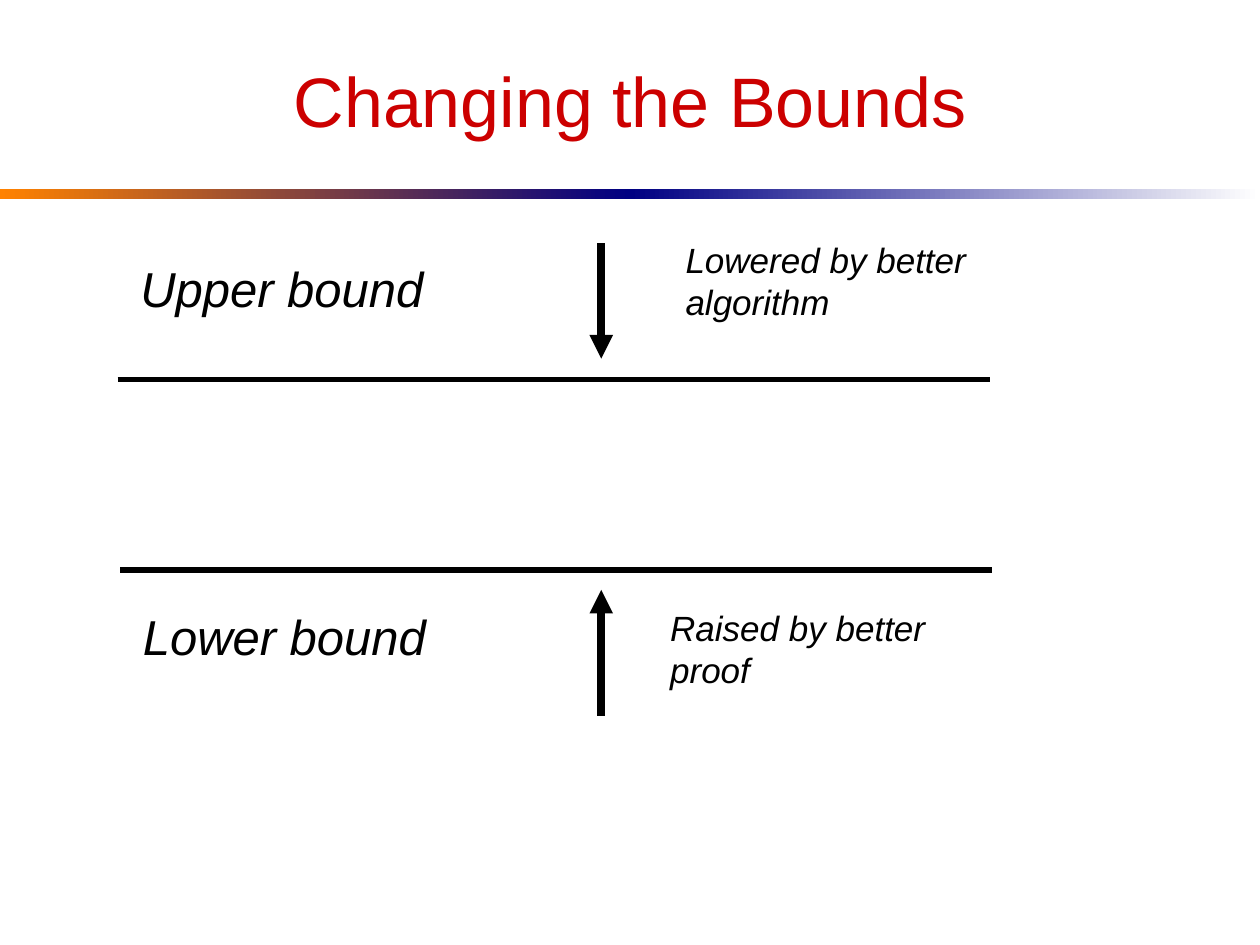
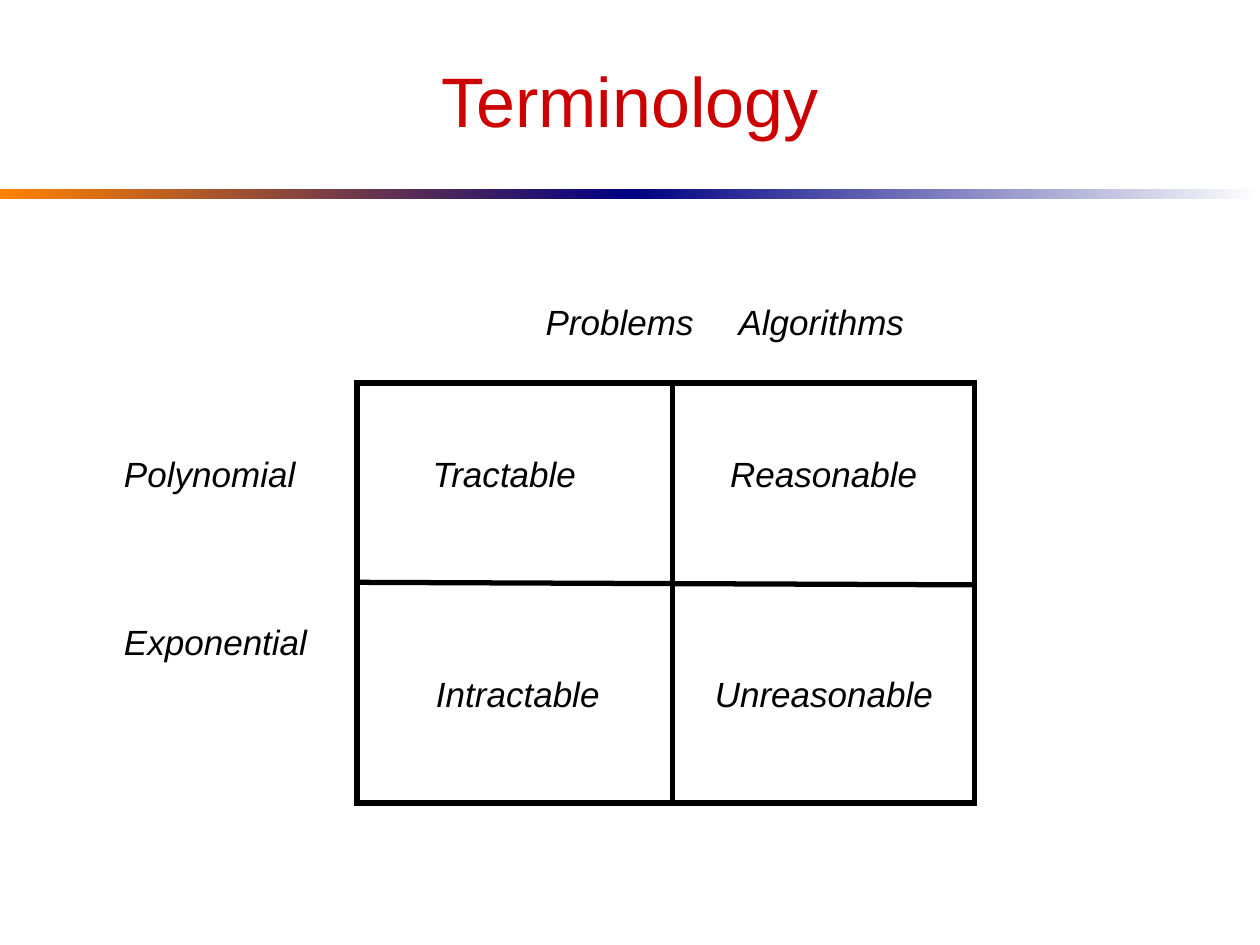
import pptx
import pptx.util
import pptx.dml.color
import pptx.enum.shapes
import pptx.enum.text
import pptx.oxml.ns
from lxml import etree

Cm, Pt = pptx.util.Cm, pptx.util.Pt
SHAPE = pptx.enum.shapes.MSO_SHAPE
qn = pptx.oxml.ns.qn

FONT = "Arial"
RED, BLACK, WHITE = "CC0000", "000000", "FFFFFF"
ORANGE, NAVY = "FF8200", "000082"
SLIDE_W, SLIDE_H = 25.4, 19.05


def rgb(value):
    return pptx.dml.color.RGBColor.from_string(value)


def write(tf, text, size=20, color=BLACK, italic=True, align=None, gap=0, tab=None):
    """Fill a frame; a list gives paragraphs, a newline gives a line break."""
    paragraphs = [text] if isinstance(text, str) else text
    for i, line_text in enumerate(paragraphs):
        p = tf.add_paragraph() if i else tf.paragraphs[0]
        p.text = line_text
        p.alignment = align
        if i:
            p.space_before = Pt(gap)
        if tab:
            tabs = etree.SubElement(p._p.get_or_add_pPr(), qn("a:tabLst"))
            etree.SubElement(tabs, qn("a:tab"), pos=str(Cm(tab)), algn="l")
        for r in p.runs:
            r.font.name, r.font.size = FONT, Pt(size)
            r.font.italic = italic
            r.font.color.rgb = rgb(color)


def label(s, x, y, w, h, text, **style):
    tf = s.shapes.add_textbox(Cm(x), Cm(y), Cm(w), Cm(h)).text_frame
    tf.word_wrap = True
    write(tf, text, **style)


def line(s, x1, y1, x2, y2, width=3, arrow=False):
    c = s.shapes.add_connector(pptx.enum.shapes.MSO_CONNECTOR.STRAIGHT,
                               Cm(x1), Cm(y1), Cm(x2), Cm(y2))
    c.line.color.rgb = rgb(BLACK)
    c.line.width = Pt(width)
    if arrow:
        etree.SubElement(c.line._get_or_add_ln(), qn("a:tailEnd"), type="triangle")
    etree.SubElement(c._element.spPr, qn("a:effectLst"))


def add_master_band(prs, s):
    """Draw the two-part gradient band and move it to the master."""
    half = SLIDE_W / 2
    for i, colors in enumerate([(ORANGE, NAVY), (NAVY, WHITE)]):
        sp = s.shapes.add_shape(SHAPE.RECTANGLE, Cm(i * half), Cm(3.81), Cm(half), Cm(0.2))
        sp.shadow.inherit = False
        sp.line.fill.background()
        sp.fill.gradient()
        sp.fill.gradient_angle = 0
        for stop, color in zip(sp.fill.gradient_stops, colors):
            stop.color.rgb = rgb(color)
        sp.element.nvSpPr.cNvPr.set("id", str(20 + i))
        prs.slide_master.shapes.element.append(sp.element)


def titled_slide(prs, title):
    s = prs.slides.add_slide(prs.slide_layouts[5])
    sp = s.shapes.title
    sp.left, sp.top, sp.width, sp.height = Cm(1.27), Cm(0.64), Cm(22.86), Cm(2.74)
    sp.text_frame.vertical_anchor = pptx.enum.text.MSO_ANCHOR.MIDDLE
    write(sp.text_frame, title, size=40, color=RED, italic=False,
          align=pptx.enum.text.PP_ALIGN.CENTER)
    return s


def bound(s, x, y, w, name, note, rule_y, name_y, note_x, note_y, arrow_x, arrow):
    """One bound: its rule, name, arrow and note, relative to x, y."""
    label(s, x + 0.21, y + name_y, 7, 1.45, name, size=28)
    line(s, x, y + rule_y, x + w, y + rule_y)
    start, end = arrow
    line(s, x + arrow_x, y + start, x + arrow_x, y + end, width=4.5, arrow=True)
    label(s, x + note_x, y + note_y, 6.8, 1.96, note)


def term_grid(s, x, y, w, h):
    """Two-by-two grid with its cell terms and headings, relative to x, y."""
    sp = s.shapes.add_shape(SHAPE.RECTANGLE, Cm(x), Cm(y), Cm(w), Cm(h))
    sp.shadow.inherit = False
    sp.fill.background()
    sp.line.color.rgb = rgb(BLACK)
    sp.line.width = Pt(3)
    etree.SubElement(sp.line._get_or_add_ln(), qn("a:miter"), lim="800000")
    line(s, x + 6.36, y, x + 6.36, y + h)
    line(s, x, y + 4.02, x + w, y + 4.07)

    # Cell terms
    row_tops = (1.27, 5.72)
    terms = [("Tractable", 1.27, 0), ("Intractable", 1.34, 1),
             ("Reasonable", 7.27, 0), ("Unreasonable", 6.96, 1)]
    for term, dx, row in terms:
        label(s, x + dx, y + row_tops[row], 5.3, 1.12, term)

    # Column and row headings
    label(s, x + 3.55, y - 1.79, 8.6, 1.12, "Problems\tAlgorithms", tab=3.89)
    label(s, x - 4.95, y + row_tops[0], 4.8, 4.5, ["Polynomial", "Exponential"], gap=72)


def main():
    prs = pptx.Presentation()
    prs.slide_width, prs.slide_height = Cm(SLIDE_W), Cm(SLIDE_H)

    s = titled_slide(prs, "Changing the Bounds")
    add_master_band(prs, s)
    bound(s, 2.37, 4.69, 17.58, "Upper bound", "Lowered by better\nalgorithm",
          rule_y=2.96, name_y=0.39, note_x=11.2, note_y=0,
          arrow_x=9.75, arrow=(0.21, 2.54))
    bound(s, 2.42, 11.49, 17.58, "Lower bound", "Raised by better\nproof",
          rule_y=0, name_y=0.61, note_x=10.84, note_y=0.61,
          arrow_x=9.7, arrow=(2.94, 0.4))

    s = titled_slide(prs, "Terminology")
    term_grid(s, 7.2, 7.72, 12.45, 8.47)

    prs.save("out.pptx")


if __name__ == "__main__":
    main()
